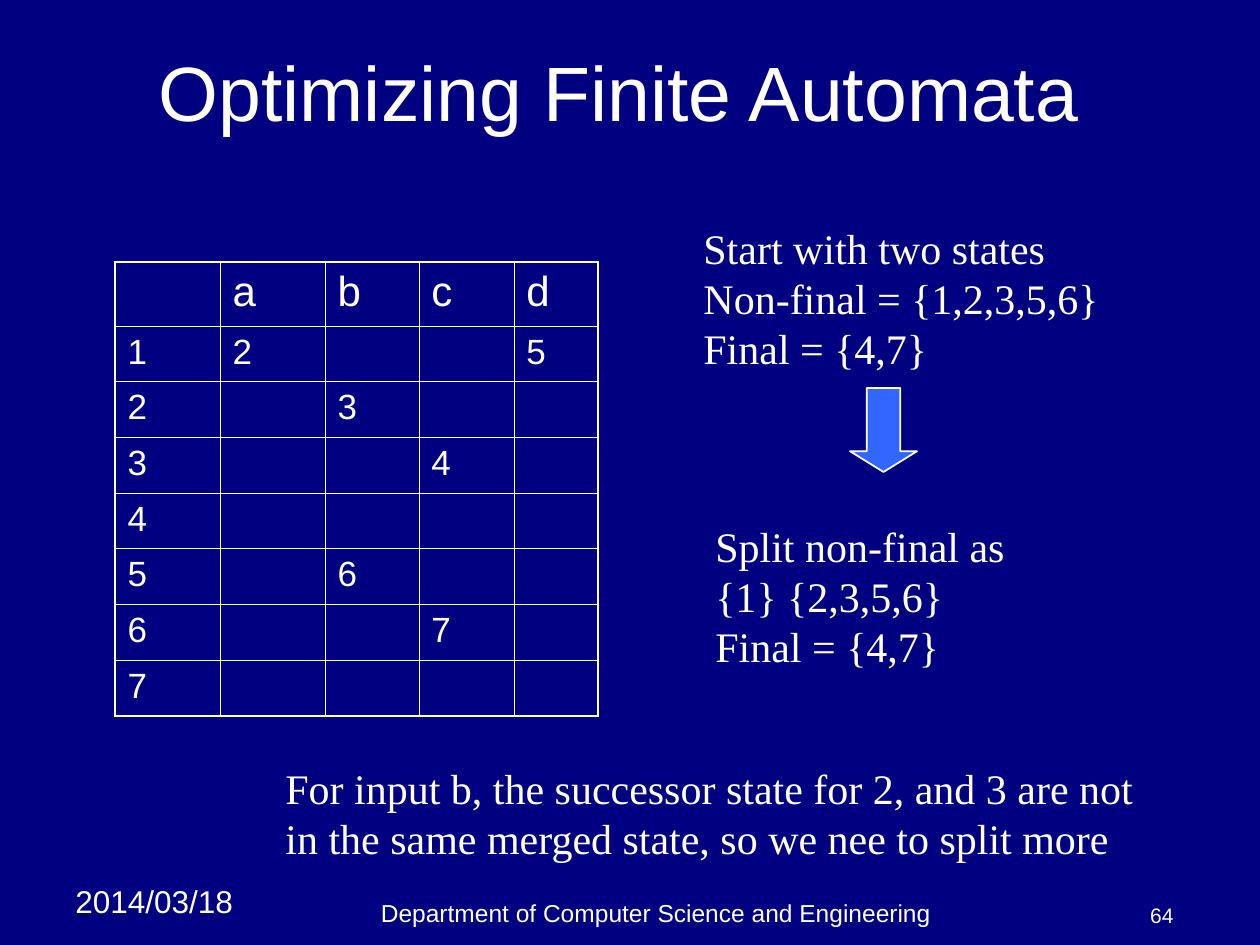
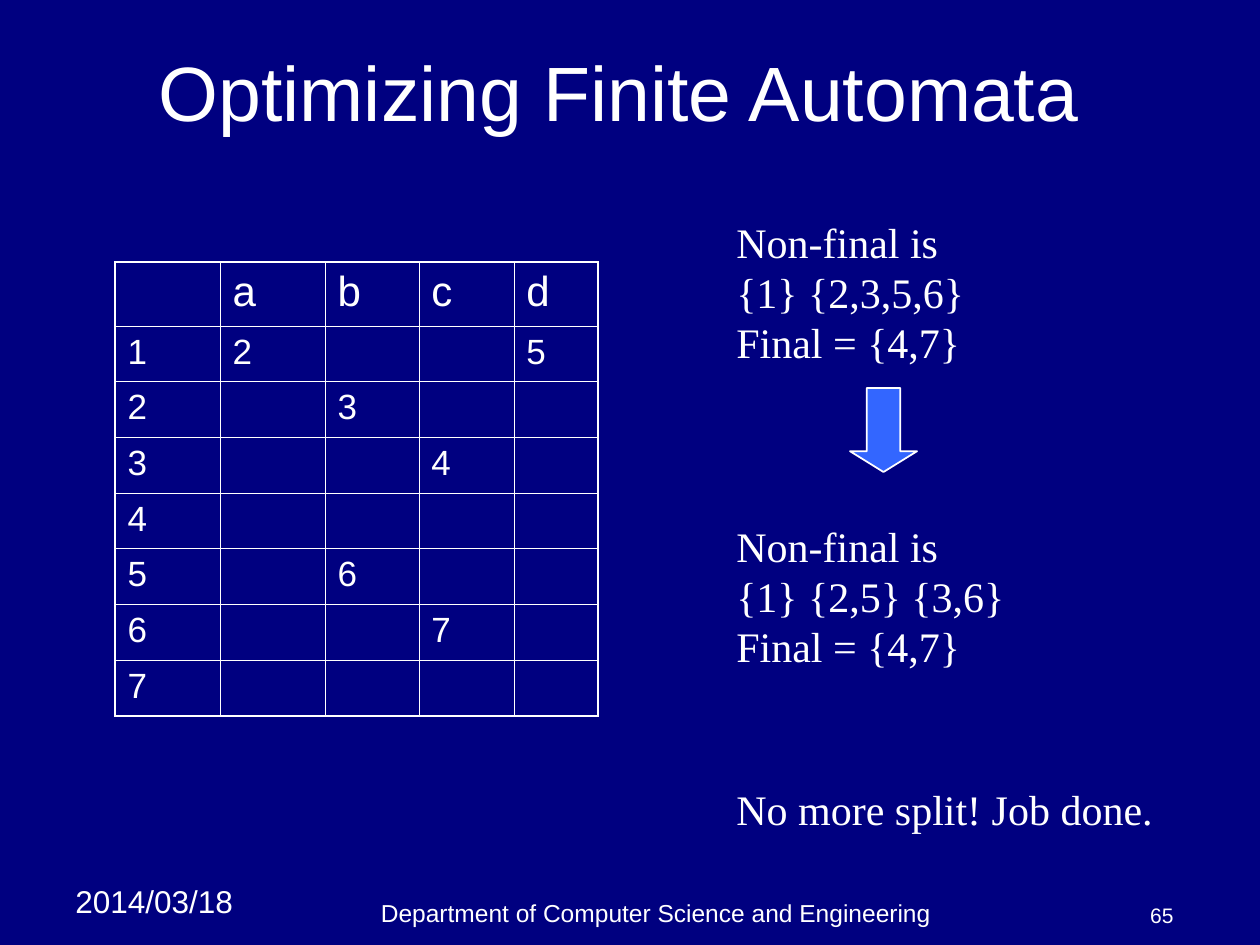
from dataclasses import dataclass

from lxml import etree
from pptx import Presentation
from pptx.dml.color import RGBColor
from pptx.enum.shapes import MSO_SHAPE
from pptx.enum.text import MSO_ANCHOR, MSO_AUTO_SIZE, PP_ALIGN
from pptx.oxml.ns import qn
from pptx.util import Emu, Pt

DOWN_ARROW = MSO_SHAPE.DOWN_ARROW
LEFT, CENTER, RIGHT = PP_ALIGN.LEFT, PP_ALIGN.CENTER, PP_ALIGN.RIGHT
TOP, MIDDLE, BOTTOM = MSO_ANCHOR.TOP, MSO_ANCHOR.MIDDLE, MSO_ANCHOR.BOTTOM
NO_AUTO_SIZE = MSO_AUTO_SIZE.NONE
TITLE_ONLY = 5
PX_PER_INCH = 126


@dataclass(frozen=True)
class Theme:
    background: str = "000080"
    ink: str = "FFFFFF"
    arrow: str = "3366FF"
    sans: str = "Arial"
    serif: str = "Times New Roman"
    title: int = 44
    note: int = 24
    table_head: int = 24
    table_body: int = 20
    date: int = 18
    department: int = 14
    number: int = 12
    inner_border: float = 0.45
    outer_border: float = 1.08
    arrow_line: float = 1


THEME = Theme()

TITLE = "Optimizing Finite Automata "
DATE = "2014/03/18"
DEPARTMENT = "Department of Computer Science and Engineering"
FIRST_NUMBER = 64

INPUTS = "abcd"
STATES = "1234567"
TRANSITIONS = {
    ("1", "a"): "2", ("1", "d"): "5", ("2", "b"): "3",
    ("3", "c"): "4", ("5", "b"): "6", ("6", "c"): "7",
}

# Each note is its box (left, top, width, height) in px and its lines.
SLIDES = [
    [
        ((691, 216, 421, 164),
         ["Start with two states", "Non-final = {1,2,3,5,6}", "Final = {4,7}"]),
        ((703, 514, 325, 164),
         ["Split non-final as", "{1} {2,3,5,6}", "Final = {4,7}"]),
        ((273, 756, 876, 114),
         ["For input b, the successor state for 2, and 3 are not",
          "in the same merged state, so we nee to split more"]),
    ],
    [
        ((724, 210, 325, 164),
         ["Non-final is", "{1} {2,3,5,6}", "Final = {4,7}"]),
        ((724, 514, 325, 164),
         ["Non-final is", "{1} {2,5} {3,6}", "Final = {4,7}"]),
        ((724, 777, 452, 63), ["No more split! Job done."]),
    ],
]

SLIDE_SIZE = (1260, 945)
TITLE_BOX = (63, 38, 1134, 105)
DATE_BOX = (63, 876, 199, 51)
DEPARTMENT_BOX = (231, 892, 850, 42)
NUMBER_BOX = (1102, 892, 84, 42)
ARROW_BOX = (850, 388, 67, 84)
ARROW_ADJUSTMENTS = (0.5, 0.31)
TABLE_LEFT, TABLE_TOP, TABLE_HEIGHT = 115, 262, 454
COLUMN_WIDTHS = (105, 105, 94, 95, 84)
HEAD_HEIGHT = 64


def px(length):
    return Emu(round(length * 914400 / PX_PER_INCH))


def color(code):
    return RGBColor.from_string(code)


def write(frame, lines, *, size, font=THEME.sans, align=LEFT, anchor=TOP):
    frame.word_wrap = True
    frame.auto_size = NO_AUTO_SIZE
    frame.vertical_anchor = anchor
    for index, line in enumerate(lines):
        para = frame.add_paragraph() if index else frame.paragraphs[0]
        para.alignment = align
        span = para.add_run()
        span.text = line
        span.font.name = font
        span.font.size = Pt(size)
        span.font.color.rgb = color(THEME.ink)


def add_text(page, box, lines, **style):
    write(page.shapes.add_textbox(*map(px, box)).text_frame, lines, **style)


def set_borders(cell, outer_sides):
    """Draw all four borders, heavier on the sides named in outer_sides."""
    properties = cell._tc.get_or_add_tcPr()
    for side in "LRTB":
        width = THEME.outer_border if side in outer_sides else THEME.inner_border
        line = etree.SubElement(properties, qn("a:ln" + side), w=str(Pt(width)))
        fill = etree.SubElement(line, qn("a:solidFill"))
        etree.SubElement(fill, qn("a:srgbClr"), val=THEME.ink)


def add_transition_table(page):
    rows = [["", *INPUTS]]
    rows += [[state, *(TRANSITIONS.get((state, letter), "") for letter in INPUTS)]
             for state in STATES]
    last_row, last_column = len(rows) - 1, len(COLUMN_WIDTHS) - 1
    box = (TABLE_LEFT, TABLE_TOP, sum(COLUMN_WIDTHS), TABLE_HEIGHT)
    table = page.shapes.add_table(len(rows), len(COLUMN_WIDTHS), *map(px, box)).table
    table.first_row = table.horz_banding = False
    for column, width in zip(table.columns, COLUMN_WIDTHS):
        column.width = px(width)
    body_height = (TABLE_HEIGHT - HEAD_HEIGHT) / len(STATES)
    for r, values in enumerate(rows):
        table.rows[r].height = px(body_height if r else HEAD_HEIGHT)
        for c, value in enumerate(values):
            cell = table.cell(r, c)
            edges = {"L": c == 0, "R": c == last_column, "T": r == 0, "B": r == last_row}
            set_borders(cell, [side for side, outer in edges.items() if outer])
            cell.fill.background()
            if value:
                write(cell.text_frame, [value],
                      size=THEME.table_body if r else THEME.table_head)


def add_arrow(page):
    arrow = page.shapes.add_shape(DOWN_ARROW, *map(px, ARROW_BOX))
    for index, value in enumerate(ARROW_ADJUSTMENTS):
        arrow.adjustments[index] = value
    arrow.shadow.inherit = False
    arrow.fill.solid()
    arrow.fill.fore_color.rgb = color(THEME.arrow)
    arrow.line.color.rgb = color(THEME.ink)
    arrow.line.width = Pt(THEME.arrow_line)


def add_page(deck, number, notes):
    page = deck.slides.add_slide(deck.slide_layouts[TITLE_ONLY])
    title = page.shapes.title
    title.left, title.top, title.width, title.height = map(px, TITLE_BOX)
    write(title.text_frame, [TITLE], size=THEME.title, align=CENTER, anchor=MIDDLE)
    add_text(page, DATE_BOX, [DATE], size=THEME.date)
    add_text(page, DEPARTMENT_BOX, [DEPARTMENT], size=THEME.department,
             align=CENTER, anchor=BOTTOM)
    add_text(page, NUMBER_BOX, [str(number)], size=THEME.number,
             align=RIGHT, anchor=BOTTOM)
    add_transition_table(page)
    add_arrow(page)
    for box, lines in notes:
        add_text(page, box, lines, size=THEME.note, font=THEME.serif)


def main():
    deck = Presentation()
    deck.slide_width, deck.slide_height = map(px, SLIDE_SIZE)
    background = deck.slide_master.background.fill
    background.solid()
    background.fore_color.rgb = color(THEME.background)
    for number, notes in enumerate(SLIDES, FIRST_NUMBER):
        add_page(deck, number, notes)
    deck.save("out.pptx")


if __name__ == "__main__":
    main()
